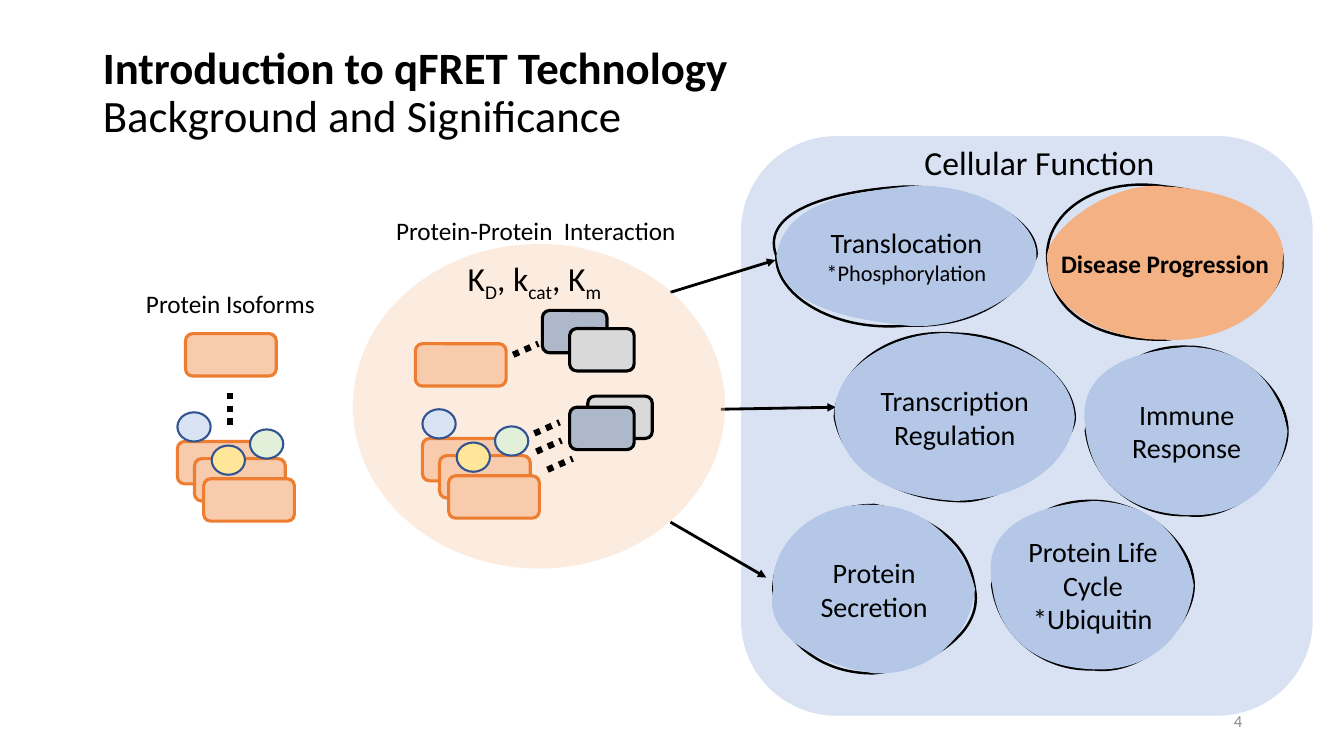
from dataclasses import dataclass

from lxml.etree import SubElement
from pptx import Presentation
from pptx.dml.color import RGBColor
from pptx.enum.dml import MSO_LINE
from pptx.enum.shapes import MSO_CONNECTOR, MSO_SHAPE
from pptx.enum.text import MSO_ANCHOR as Anchor
from pptx.enum.text import MSO_AUTO_SIZE, PP_ALIGN as Align
from pptx.oxml.ns import qn
from pptx.util import Inches, Pt


@dataclass(frozen=True)
class Theme:
    font: str = "Calibri"
    black: str = "000000"
    page_number: str = "8C8C8C"
    cell_blue: str = "8FAADC"
    blob_blue: str = "B4C7E7"
    disease: str = "F4B183"
    isoform: str = "F8CBAD"
    isoform_edge: str = "ED7D31"
    partner: str = "ADB9CA"
    partner_light: str = "D9D9D9"
    tag_edge: str = "325491"
    tags: tuple = ("DAE3F3", "E2F0D9", "FFE699")
    title_size: int = 32
    heading_size: int = 24
    body_size: int = 20
    label_size: int = 18
    note_size: int = 16
    number_size: int = 12


THEME = Theme()
ISOFORM_SIZE = (0.9, 0.42)
PARTNER_SIZE = (0.64, 0.42)
TAG_SIZE = (0.33, 0.29)

# Bezier handles per quarter turn, in inches from the blob's top left corner:
# first the outline, then the filled area.
ROUND_BLOB = (
    ((0.08, 0.38), (0.46, -0.02), (1.47, -0.01), (1.99, 0.39),
     (2, 1.22), (1.51, 1.74), (0.48, 1.69), (0.06, 1.31)),
    ((-0.1, 0.31), (0.3, 0.06), (1.61, 0.01), (1.91, 0.38),
     (1.95, 1.35), (1.55, 1.7), (0.41, 1.65), (0.06, 1.33)))
TRANSLOCATION_BLOB = (
    ((-0.17, 0.24), (0.56, 0.04), (2.01, 0.01), (2.61, 0.34),
     (2.45, 1.03), (2.03, 1.41), (0.53, 1.45), (-0.02, 1.05)),
    ((0.08, 0.19), (0.63, 0.07), (1.98, -0.06), (2.59, 0.32),
     (2.58, 1.03), (1.86, 1.44), (0.56, 1.3), (0.05, 1.14)))
TRANSCRIPTION_BLOB = (
    ((0.02, 0.39), (0.48, -0.06), (1.82, 0.01), (2.37, 0.43),
     (2.38, 1.13), (1.71, 1.71), (0.51, 1.63), (0.07, 1.25)),
    ((-0.04, 0.3), (0.67, -0.05), (1.88, 0.06), (2.35, 0.39),
     (2.35, 1.27), (1.88, 1.65), (0.49, 1.61), (0.08, 1.35)))
SECRETION_BLOB = (
    ((0.01, 0.36), (0.45, 0), (1.61, 0.12), (1.94, 0.38),
     (2.09, 1.31), (1.46, 1.63), (0.41, 1.68), (0.02, 1.27)),
    ((-0.04, 0.44), (0.34, -0.04), (1.57, 0), (1.93, 0.49),
     (1.96, 1.31), (1.53, 1.7), (0.54, 1.61), (-0.12, 1.33)))
DISEASE_BLOB = (
    ((-0.06, 0.28), (0.47, -0.11), (1.88, 0.08), (2.35, 0.35),
     (2.34, 1.15), (1.75, 1.46), (0.51, 1.53), (0.04, 1.27)),
    ((-0.09, 0.49), (0.6, -0.07), (1.84, 0.03), (2.4, 0.29),
     (2.36, 1.08), (1.87, 1.56), (0.52, 1.53), (-0.02, 1.16)))


def rgb(value):
    return RGBColor.from_string(value)


def paint(shape, fill, edge=None, width=0, opacity=None):
    shape.shadow.inherit = False
    shape.fill.solid()
    shape.fill.fore_color.rgb = rgb(fill)
    if opacity is not None:
        color = shape.element.spPr.find(".//" + qn("a:srgbClr"))
        SubElement(color, qn("a:alpha"), val=str(opacity * 1000))
    if edge:
        shape.line.color.rgb = rgb(edge)
        shape.line.width = Pt(width)
    else:
        shape.line.fill.background()


def add_preset(shapes, kind, place, size, fill, **style):
    shape = shapes.add_shape(kind, *map(Inches, place + size))
    paint(shape, fill, **style)


def add_protein(shapes, place, size, fill, edge):
    add_preset(shapes, MSO_SHAPE.ROUNDED_RECTANGLE, place, size, fill, edge=edge, width=2.25)


def add_isoform(shapes, place):
    add_protein(shapes, place, ISOFORM_SIZE, THEME.isoform, THEME.isoform_edge)


def add_isoform_stack(shapes, left, top):
    """Three overlapping isoforms carrying three round tags."""
    for across, down in ((0, 0), (0.17, 0.17), (0.26, 0.37)):
        add_isoform(shapes, (left + across, top + down))
    for fill, (across, down) in zip(THEME.tags, ((0, -0.29), (0.72, -0.12), (0.34, 0.04))):
        add_preset(shapes, MSO_SHAPE.OVAL, (left + across, top + down), TAG_SIZE, fill,
                   edge=THEME.tag_edge, width=1.5)


def add_line(shapes, start, end, width):
    line = shapes.add_connector(MSO_CONNECTOR.STRAIGHT, *map(Inches, start + end))
    line.line.color.rgb = rgb(THEME.black)
    line.line.width = Pt(width)
    SubElement(line.element.spPr, qn("a:effectLst"))
    return line


def add_arrow(shapes, start, end):
    arrow = add_line(shapes, start, end, 2)
    SubElement(arrow.element.spPr.find(qn("a:ln")), qn("a:tailEnd"), type="triangle")


def add_dots(shapes, start, end):
    add_line(shapes, start, end, 4.5).line.dash_style = MSO_LINE.ROUND_DOT


def set_font(font, size, color=THEME.black, bold=False):
    font.name, font.size, font.bold = THEME.font, Pt(size), bold
    font.color.rgb = rgb(color)


def write_lines(frame, lines, align=Align.LEFT, **style):
    """Fill the frame with one paragraph per (text, size) pair."""
    frame.word_wrap = True
    for index, (text, size) in enumerate(lines):
        para = frame.add_paragraph() if index else frame.paragraphs[0]
        para.text, para.alignment = text, align
        set_font(para.font, size, **style)


def add_label(shapes, area, text, size, **style):
    box = shapes.add_textbox(*map(Inches, area))
    write_lines(box.text_frame, [(text, size)], **style)
    return box


def add_curve(path_list, width, height, handles, **hidden):
    """Closed curve through the midpoints of the four sides."""
    path = SubElement(path_list, qn("a:path"), w=str(Inches(width)), h=str(Inches(height)), **hidden)

    def add_step(name, points):
        step = SubElement(path, qn(name))
        for x, y in points:
            SubElement(step, qn("a:pt"), x=str(Inches(x)), y=str(Inches(y)))

    left = (0, height / 2)
    stops = ((width / 2, 0), (width, height / 2), (width / 2, height), left)
    add_step("a:moveTo", [left])
    for quarter, stop in enumerate(stops):
        add_step("a:cubicBezTo", [*handles[2 * quarter:2 * quarter + 2], stop])
    SubElement(path, qn("a:close"))


def add_blob(shapes, area, handles, lines, fill=THEME.blob_blue, bold=False):
    left, top, width, height = area
    builder = shapes.build_freeform(0, 0)
    corners = ((width, 0), (width, height), (0, height))
    builder.add_line_segments([(Inches(x), Inches(y)) for x, y in corners])
    blob = builder.convert_to_shape(Inches(left), Inches(top))
    path_list = blob.element.spPr.find(".//" + qn("a:pathLst"))
    path_list.remove(path_list[0])
    outline, area_handles = handles
    add_curve(path_list, width, height, outline, fill="none")
    add_curve(path_list, width, height, area_handles, stroke="0")
    paint(blob, fill, edge=THEME.black, width=1.75)
    blob.text_frame.vertical_anchor = Anchor.MIDDLE
    write_lines(blob.text_frame, lines, Align.CENTER, bold=bold)


def add_title(title):
    title.left, title.top, title.width, title.height = map(Inches, (0.92, 0.4, 11.5, 1.45))
    frame = title.text_frame
    frame.auto_size, frame.vertical_anchor = MSO_AUTO_SIZE.NONE, Anchor.TOP
    para = frame.paragraphs[0]
    para.alignment, para.line_spacing = Align.LEFT, 0.9
    heading = para.add_run()
    heading.text = "Introduction to qFRET Technology"
    set_font(heading.font, THEME.title_size, bold=True)
    para.add_line_break()
    subheading = para.add_run()
    subheading.text = "Background and Significance"
    set_font(subheading.font, THEME.title_size)


def add_constants(shapes):
    box = add_label(shapes, (4.54, 2.51, 1.91, 0.5), "", THEME.heading_size)
    para = box.text_frame.paragraphs[0]
    for symbol, subscript in (("K", "D"), (", k", "cat"), (", K", "m")):
        para.add_run().text = symbol
        span = para.add_run()
        span.text = subscript
        span.font._element.set("baseline", "-25000")
    for span in para.runs:
        set_font(span.font, THEME.heading_size)


def add_functions(shapes):
    body, label, note = THEME.body_size, THEME.label_size, THEME.note_size
    add_blob(shapes, (7.7, 1.85, 2.58, 1.38), TRANSLOCATION_BLOB,
             [("Translocation", body), ("*Phosphorylation", note)])
    add_blob(shapes, (8.28, 3.31, 2.38, 1.66), TRANSCRIPTION_BLOB, [("Transcription Regulation", body)])
    add_blob(shapes, (7.67, 5.01, 2, 1.67), SECRETION_BLOB, [("Protein Secretion", body)])
    add_blob(shapes, (10.39, 1.85, 2.33, 1.52), DISEASE_BLOB, [("Disease Progression", label)],
             fill=THEME.disease, bold=True)
    add_blob(shapes, (9.84, 4.97, 2, 1.67), ROUND_BLOB, [("Protein Life Cycle", body), ("*Ubiquitin", body)])
    add_blob(shapes, (10.77, 3.44, 2, 1.67), ROUND_BLOB, [("Immune Response", body)])


def add_interaction(shapes):
    add_preset(shapes, MSO_SHAPE.OVAL, (3.5, 2.42), (3.69, 3.22), THEME.isoform, opacity=38)
    add_isoform(shapes, (4.12, 3.41))
    add_isoform_stack(shapes, 4.19, 4.35)
    for place, fill in (((5.83, 3.93), THEME.partner_light), ((5.65, 4.04), THEME.partner),
                        ((5.38, 3.08), THEME.partner), ((5.65, 3.26), THEME.partner_light)):
        add_protein(shapes, place, PARTNER_SIZE, fill, THEME.black)
    for x, y in ((5.09, 3.52), (5.3, 4.3), (5.32, 4.48), (5.43, 4.66)):
        add_dots(shapes, (x, y), (x + 0.25, y - 0.11))
    add_constants(shapes)


def main():
    deck = Presentation()
    deck.slide_width, deck.slide_height = Inches(13.33), Inches(7.5)
    page = deck.slides.add_slide(deck.slide_layouts[5])
    shapes = page.shapes
    add_preset(shapes, MSO_SHAPE.ROUNDED_RECTANGLE, (7.35, 1.35), (5.67, 5.75), THEME.cell_blue, opacity=34)
    add_title(shapes.title)

    isoforms = shapes.add_group_shape().shapes
    add_isoform(isoforms, (1.84, 3.31))
    add_isoform_stack(isoforms, 1.76, 4.38)
    add_dots(isoforms, (2.28, 3.9), (2.28, 4.24))

    for start, end in (((6.65, 2.9), (7.69, 2.58)), ((7.15, 4.06), (8.29, 4.04)), ((6.65, 5.18), (7.6, 5.73))):
        add_arrow(shapes, start, end)
    add_functions(shapes)
    add_label(shapes, (1.35, 2.81, 1.96, 0.4), "Protein Isoforms", THEME.label_size)
    add_label(shapes, (3.83, 2.09, 3.29, 0.4), "Protein-Protein  Interaction", THEME.label_size)
    add_label(shapes, (9.07, 1.36, 2.58, 0.5), "Cellular Function", THEME.heading_size)
    add_interaction(shapes.add_group_shape().shapes)
    number = add_label(shapes, (9.42, 6.95, 3, 0.4), "4", THEME.number_size,
                       align=Align.RIGHT, color=THEME.page_number)
    number.text_frame.vertical_anchor = Anchor.MIDDLE
    deck.save("out.pptx")


if __name__ == "__main__":
    main()
